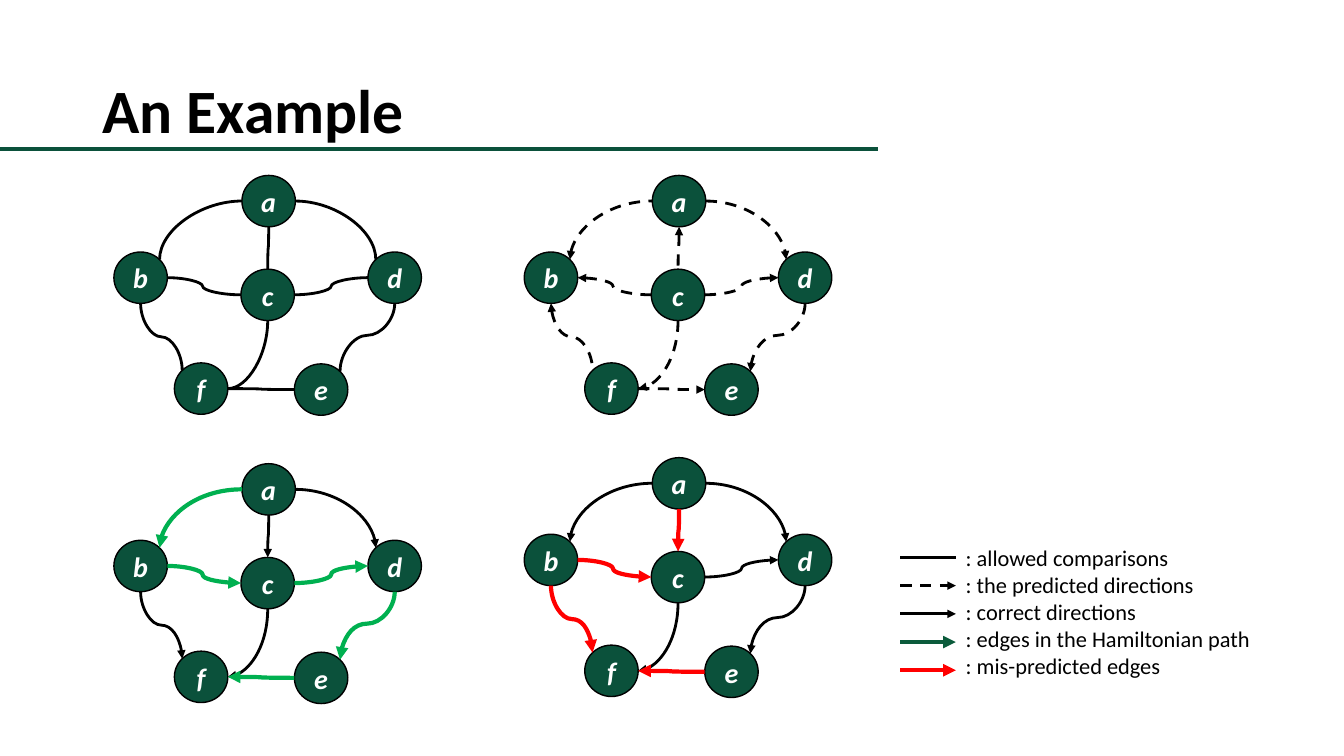
from math import cos, pi, sin

from lxml.etree import SubElement
from pptx import Presentation
from pptx.dml.color import RGBColor
from pptx.enum.dml import MSO_LINE
from pptx.enum.shapes import MSO_CONNECTOR, MSO_SHAPE
from pptx.enum.text import MSO_ANCHOR, PP_ALIGN
from pptx.oxml.ns import qn
from pptx.util import Inches, Pt

SLIDE_WIDTH, SLIDE_HEIGHT = 13.33, 7.5
GREEN, BLACK, WHITE = "0B513B", "000000", "FFFFFF"

# Line formats: colour, width, dash
PLAIN = (BLACK, 2, None)
DASHED = (BLACK, 2, MSO_LINE.DASH)
HAMILTONIAN = ("00B050", 3, None)
HAMILTONIAN_KEY = ("0B5B3B", 3, None)
MISPREDICTED = ("FF0000", 3, None)

# Node offsets within a graph, and the ellipse's eight connection sites
NODE_WIDTH, NODE_HEIGHT = 0.53, 0.51
NODES = {"b": (0, 0.76), "a": (1.27, 0), "f": (0.6, 1.86),
         "d": (2.52, 0.76), "e": (1.79, 1.87), "c": (1.26, 0.93)}
TOP, TOP_LEFT, LEFT, BOTTOM_LEFT, BOTTOM, BOTTOM_RIGHT, RIGHT, TOP_RIGHT = range(8)

# Edge: start site, end site, rotation, flips, preset, bend
EDGES = {
    "bf": (BOTTOM, TOP_LEFT, 270, "H", "curvedConnector3", 0.5),
    "ba": (TOP_RIGHT, LEFT, 90, "HV", "curvedConnector2", None),
    "ad": (RIGHT, TOP_LEFT, 0, "", "curvedConnector2", None),
    "de": (BOTTOM, TOP_RIGHT, 90, "", "curvedConnector3", 0.47),
    "bc": (RIGHT, LEFT, 0, "", "curvedConnector3", 0.48),
    "ac": (BOTTOM, TOP, 90, "", "curvedConnector3", 0.5),
    "cf": (BOTTOM, RIGHT, 90, "", "curvedConnector2", None),
    "cd": (RIGHT, LEFT, 0, "V", "curvedConnector3", 0.5),
    "fe": (RIGHT, LEFT, 0, "", "curvedConnector3", 0.5),
}

# Graph: left, top, directed edges, base format, marked edges, marked format
PREDICTED = "fb ab ad de cb ca cf cd fe".split()
CORRECT = "bf ab ad de bc ac cf cd ef".split()
GRAPHS = [
    (1.13, 1.74, [], PLAIN, [], PLAIN),
    (5.2, 1.74, PREDICTED, DASHED, [], DASHED),
    (1.13, 4.6, CORRECT, PLAIN, ["ba", "de", "bc", "cd", "fe"], HAMILTONIAN),
    (5.2, 4.54, CORRECT, PLAIN, ["bf", "bc", "ac", "fe"], MISPREDICTED),
]

LEGEND = [
    (": allowed comparisons", PLAIN, None),
    (": the predicted directions", DASHED, "tailEnd"),
    (": correct directions", PLAIN, "tailEnd"),
    (": edges in the Hamiltonian path", HAMILTONIAN_KEY, "tailEnd"),
    (": mis-predicted edges", MISPREDICTED, "tailEnd"),
]


def color(value):
    return RGBColor.from_string(value)


def add_span(para, text, fill, **formats):
    span = para.add_run()
    span.text = text
    span.font.color.rgb = color(fill)
    for name, value in {"name": "Calibri", **formats}.items():
        setattr(span.font, name, value)


def add_line(page, start, end, line_format, arrow=None, kind=MSO_CONNECTOR.STRAIGHT):
    connector = page.shapes.add_connector(kind, *map(Inches, start + end))
    fill, width, dash = line_format
    connector.line.color.rgb = color(fill)
    connector.line.width = Pt(width)
    if dash:
        connector.line.dash_style = dash
    if arrow:
        SubElement(connector.line._get_or_add_ln(), qn(f"a:{arrow}"), type="triangle")
    SubElement(connector._element.spPr, qn("a:effectLst"))
    return connector


def site_point(node, site):
    angle = site * pi / 4
    left, top = node
    return (left + NODE_WIDTH / 2 * (1 - sin(angle)),
            top + NODE_HEIGHT / 2 * (1 - cos(angle)))


def add_curve(page, start, end, edge, line_format, arrow):
    _, _, rotation, flips, preset, bend = edge
    connector = add_line(page, start, end, line_format, arrow, MSO_CONNECTOR.CURVE)
    width, height = abs(end[0] - start[0]), abs(end[1] - start[1])
    if rotation:
        width, height = height, width
    connector.left = Inches((start[0] + end[0] - width) / 2)
    connector.top = Inches((start[1] + end[1] - height) / 2)
    connector.width, connector.height = Inches(width), Inches(height)
    frame = connector._element.spPr.find(qn("a:xfrm"))
    frame.set("rot", str(rotation * 60000))
    for axis in "HV":
        frame.set(f"flip{axis}", str(int(axis in flips)))
    geometry = connector._element.spPr.find(qn("a:prstGeom"))
    geometry.set("prst", preset)
    if bend:
        SubElement(geometry.find(qn("a:avLst")), qn("a:gd"),
                   name="adj1", fmla=f"val {round(bend * 100000)}")


def add_node(page, left, top, letter):
    node = page.shapes.add_shape(MSO_SHAPE.OVAL, *map(
        Inches, (left, top, NODE_WIDTH, NODE_HEIGHT)))
    node.shadow.inherit = False
    node.fill.solid()
    node.fill.fore_color.rgb = color(GREEN)
    node.line.color.rgb = color(BLACK)
    node.line.width = Pt(1)
    frame = node.text_frame
    for name, value in {"margin_left": 0, "margin_right": 0, "margin_top": 0,
                        "margin_bottom": 0, "word_wrap": False,
                        "vertical_anchor": MSO_ANCHOR.MIDDLE}.items():
        setattr(frame, name, value)
    para = frame.paragraphs[0]
    para.alignment = PP_ALIGN.CENTER
    add_span(para, letter, WHITE, size=Pt(20), bold=True, italic=True)


def add_graph(page, left, top, directed, base, marked, marked_format):
    nodes = {letter: (left + x, top + y) for letter, (x, y) in NODES.items()}
    for letter, corner in nodes.items():
        add_node(page, *corner, letter)
    for name, edge in EDGES.items():
        arrow = None
        if name in directed:
            arrow = "tailEnd"
        elif name[::-1] in directed:
            arrow = "headEnd"
        start = site_point(nodes[name[0]], edge[0])
        end = site_point(nodes[name[1]], edge[1])
        add_curve(page, start, end, edge,
                  marked_format if name in marked else base, arrow)


def add_title(page, left, top, width, height):
    add_line(page, (0, 1.48), (8.71, 1.48), (GREEN, 2.75, None))
    box = page.shapes.add_textbox(*map(Inches, (left, top, width, height)))
    box.text_frame.word_wrap = True
    box.text_frame.vertical_anchor = MSO_ANCHOR.MIDDLE
    para = box.text_frame.paragraphs[0]
    para.line_spacing = 0.9
    add_span(para, "An Example", BLACK, size=Pt(44), bold=True)


def add_legend(page, left, top, width, height):
    key_width, row_height = 0.55, 0.28
    box = page.shapes.add_textbox(*map(
        Inches, (left + key_width, top, width - key_width, height)))
    frame = box.text_frame
    frame.word_wrap = True
    for row, (label, line_format, arrow) in enumerate(LEGEND):
        para = frame.add_paragraph() if row else frame.paragraphs[0]
        add_span(para, label, BLACK, size=Pt(16))
        y = top + 0.18 + row * row_height
        add_line(page, (left, y), (left + key_width, y), line_format, arrow)


def main():
    deck = Presentation()
    deck.slide_width, deck.slide_height = Inches(SLIDE_WIDTH), Inches(SLIDE_HEIGHT)
    page = deck.slides.add_slide(deck.slide_layouts[6])
    add_title(page, 0.92, 0.4, 11.5, 1.45)
    for graph in GRAPHS:
        add_graph(page, *graph)
    add_legend(page, 8.93, 5.35, 4.1, 1.45)
    deck.save("out.pptx")


if __name__ == "__main__":
    main()
